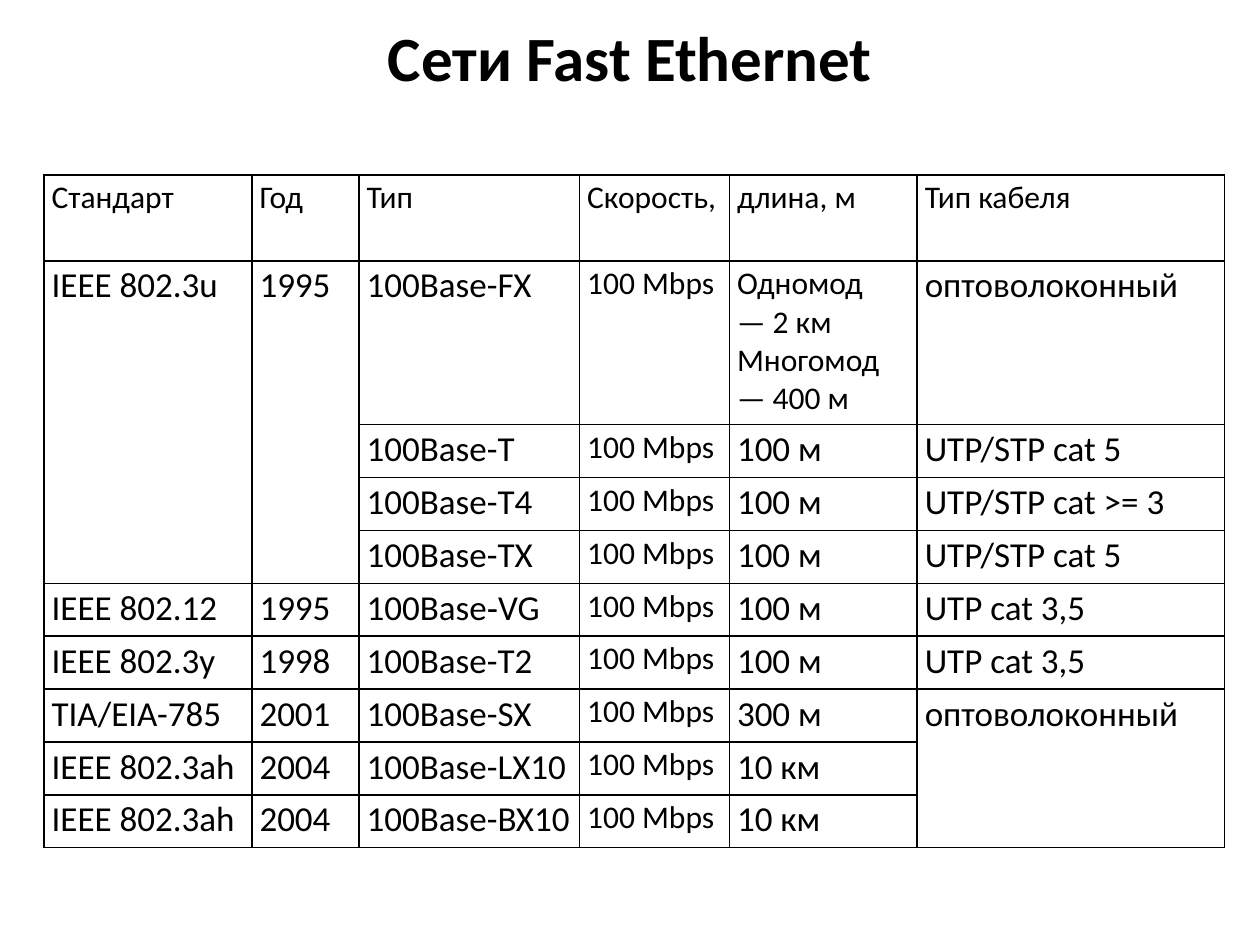
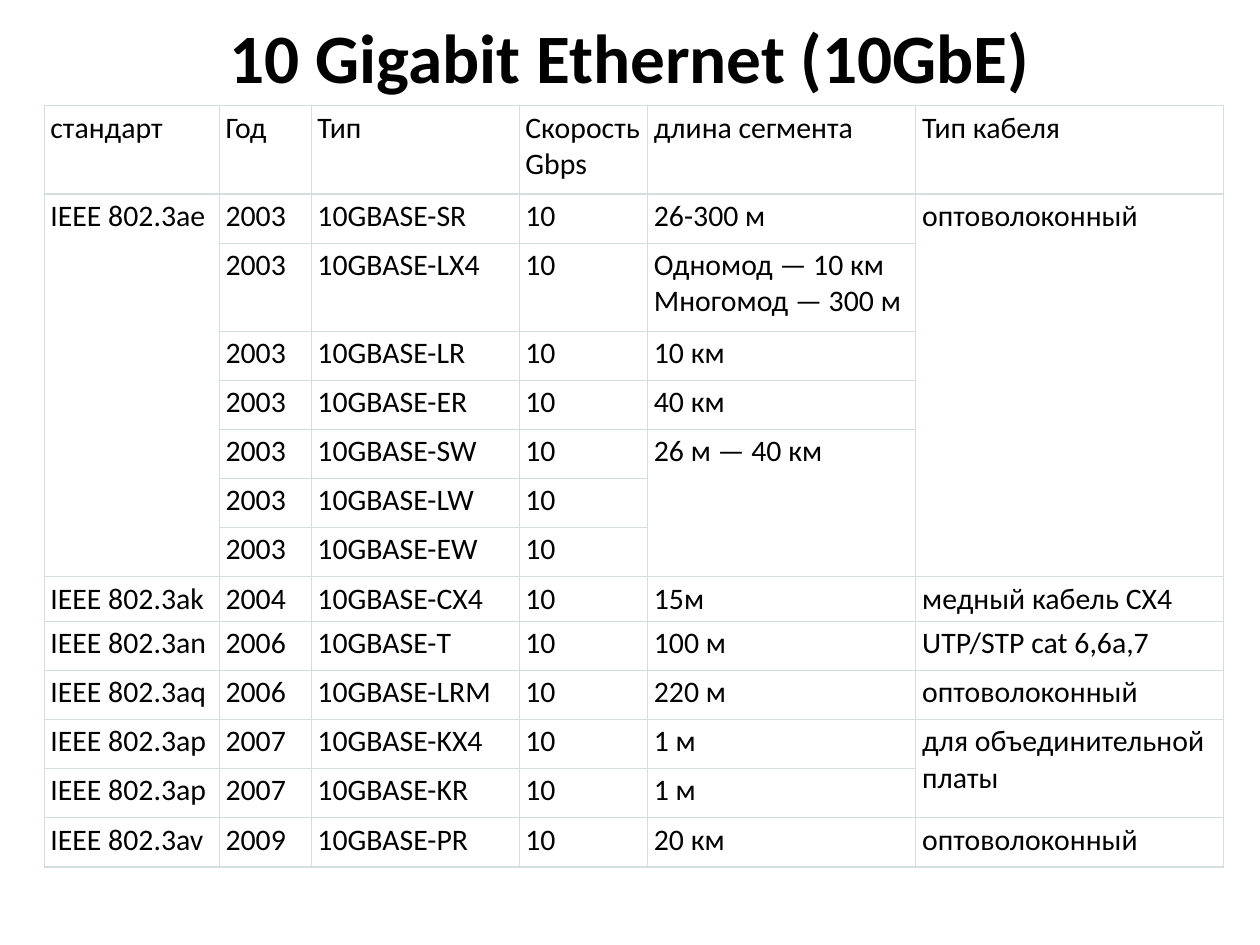
"""Builds two slides with tables of Fast Ethernet and 10 Gigabit Ethernet standards."""
from lxml.etree import SubElement
from pptx import Presentation
from pptx.dml.color import RGBColor
from pptx.enum.text import MSO_ANCHOR as ANCHOR, PP_ALIGN as ALIGN
from pptx.oxml.ns import qn
from pptx.util import Inches, Pt

FONT = "Calibri"
COLORS = {"text": "000000", "paper": "FFFFFF", "grid": "000000", "pale_grid": "D5DDDF"}
TITLE_BOX = (0.5, 0.21, 9, 0.47)
TABLE_LEFT = 0.35
FIBER = "оптоволоконный"
MBPS = "100 Мbps"

FAST_ROWS = [
    ("Стандарт", "Год", "Тип", "Скорость,", "длина, м", "Тип кабеля"),
    ("IEEE 802.3u", "1995", "100Base-FX", MBPS, "Одномод\n— 2 км\vМногомод\n— 400 м", FIBER),
    (None, None, "100Base-Т", MBPS, "100 м", "UTP/STP cat 5"),
    (None, None, "100Base-Т4", MBPS, "100 м", "UTP/STP cat >= 3"),
    (None, None, "100Base-ТХ", MBPS, "100 м", "UTP/STP cat 5"),
    ("IEEE 802.12", "1995", "100Base‑VG", MBPS, "100 м", "UTP cat 3,5"),
    ("IEEE 802.3y", "1998", "100Base-Т2", MBPS, "100 м", "UTP cat 3,5"),
    ("TIA/EIA-785", "2001", "100Base-SX", MBPS, "300 м", FIBER),
    ("IEEE 802.3ah", "2004", "100Base-LX10", MBPS, "10 км", None),
    ("IEEE 802.3ah", "2004", "100Base-BX10", MBPS, "10 км", None),
]

TEN_GIG_ROWS = [
    ("стандарт", "Год", "Тип", "Скорость Gbps", "длина сегмента", "Тип кабеля"),
    ("IEEE 802.3ае", "2003", "10GBASE-SR", "10", "26-300 м", FIBER),
    (None, "2003", "10GBASE-LX4", "10", "Одномод — 10 км\vМногомод — 300 м", None),
    (None, "2003", "10GBASE-LR", "10", "10 км", None),
    (None, "2003", "10GBASE-ER", "10", "40 км", None),
    (None, "2003", "10GBASE-SW", "10", "26 м — 40 км", None),
    (None, "2003", "10GBASE-LW", "10", None, None),
    (None, "2003", "10GBASE-EW", "10", None, None),
    ("IEEE 802.3аk", "2004", "10GBASE-CX4", "10", "15м", "медный кабель СХ4"),
    ("IEEE 802.3an", "2006", "10GBASE-T", "10", "100 м", "UTP/STP cat 6,6a,7"),
    ("IEEE 802.3aq", "2006", "10GBASE-LRM", "10", "220 м", FIBER),
    ("IEEE 802.3ap", "2007", "10GBASE-KX4", "10", "1 м", "для объединительной платы"),
    ("IEEE 802.3ap", "2007", "10GBASE-KR", "10", "1 м", None),
    ("IEEE 802.3av", "2009", "10GBASE-PR", "10", "20 км", FIBER),
]


def fast_size(row, col, text):
    return 18 if row == 0 or col == 3 or "\n" in text else 20


def ten_gig_size(row, col, text):
    return 17


SLIDES = [
    {"title": "Сети Fast Ethernet", "title_size": 36, "top": 1.39, "rows": FAST_ROWS,
     "widths": [1.65, 0.85, 1.75, 1.19, 1.49, 2.44], "heights": [0.68, 1.3] + [0.42] * 8,
     "insets": (0.06, 0.03, 0.06, 0.05), "size": fast_size,
     "fill": None, "grid": "grid", "line": 1},
    {"title": "10 Gigabit Ethernet (10GbE)", "title_size": 39.6, "top": 0.84,
     "rows": TEN_GIG_ROWS, "widths": [1.39, 0.73, 1.65, 1.02, 2.13, 2.44],
     "heights": [0.7, 0.39, 0.7] + [0.39] * 5 + [0.35] + [0.39] * 5,
     "insets": (0.05, 0.03, 0.05, 0.04), "size": ten_gig_size,
     "fill": "paper", "grid": "pale_grid", "line": 0.75},
]


def style(p, size, bold=False):
    p.font.name = FONT
    p.font.size = Pt(size)
    p.font.bold = bold
    p.font.color.rgb = RGBColor.from_string(COLORS["text"])


def add_title(s, text, size):
    tf = s.shapes.add_textbox(*map(Inches, TITLE_BOX)).text_frame
    tf.word_wrap = True
    tf.vertical_anchor = ANCHOR.MIDDLE
    p = tf.paragraphs[0]
    p.text = text
    p.alignment = ALIGN.CENTER
    style(p, size, bold=True)


def set_borders(cell, color, width):
    props = cell._tc.get_or_add_tcPr()
    for i, side in enumerate(("lnL", "lnR", "lnT", "lnB")):
        line = props.makeelement(qn(f"a:{side}"), {"w": str(Pt(width))})
        fill = SubElement(line, qn("a:solidFill"))
        SubElement(fill, qn("a:srgbClr"), val=COLORS[color])
        props.insert(i, line)


def format_cell(cell, spec_):
    (cell.margin_left, cell.margin_top,
     cell.margin_right, cell.margin_bottom) = map(Inches, spec_["insets"])
    if spec_["fill"]:
        cell.fill.solid()
        cell.fill.fore_color.rgb = RGBColor.from_string(COLORS[spec_["fill"]])
    else:
        cell.fill.background()
    set_borders(cell, spec_["grid"], spec_["line"])


def merge_down(table, rows, row, col):
    last = row
    while last + 1 < len(rows) and rows[last + 1][col] is None:
        last += 1
    if last > row:
        table.cell(row, col).merge(table.cell(last, col))


def add_standards(s, content):
    rows, widths, heights = content["rows"], content["widths"], content["heights"]
    box = (TABLE_LEFT, content["top"], sum(widths), sum(heights))
    table = s.shapes.add_table(len(rows), len(widths), *map(Inches, box)).table
    table.first_row = table.horz_banding = False
    for column, width in zip(table.columns, widths):
        column.width = Inches(width)
    for table_row, height in zip(table.rows, heights):
        table_row.height = Inches(height)
    for i, row in enumerate(rows):
        for j, text in enumerate(row):
            cell = table.cell(i, j)
            format_cell(cell, content)
            if text is None:
                style(cell.text_frame.paragraphs[0], content["size"](i, j, ""))
                continue
            cell.text = text
            for p in cell.text_frame.paragraphs:
                style(p, content["size"](i, j, text))
            merge_down(table, rows, i, j)


def main():
    prs = Presentation()
    prs.slide_width, prs.slide_height = Inches(10), Inches(7.5)
    for content in SLIDES:
        s = prs.slides.add_slide(prs.slide_layouts[6])
        add_title(s, content["title"], content["title_size"])
        add_standards(s, content)
    prs.save("out.pptx")


if __name__ == "__main__":
    main()
